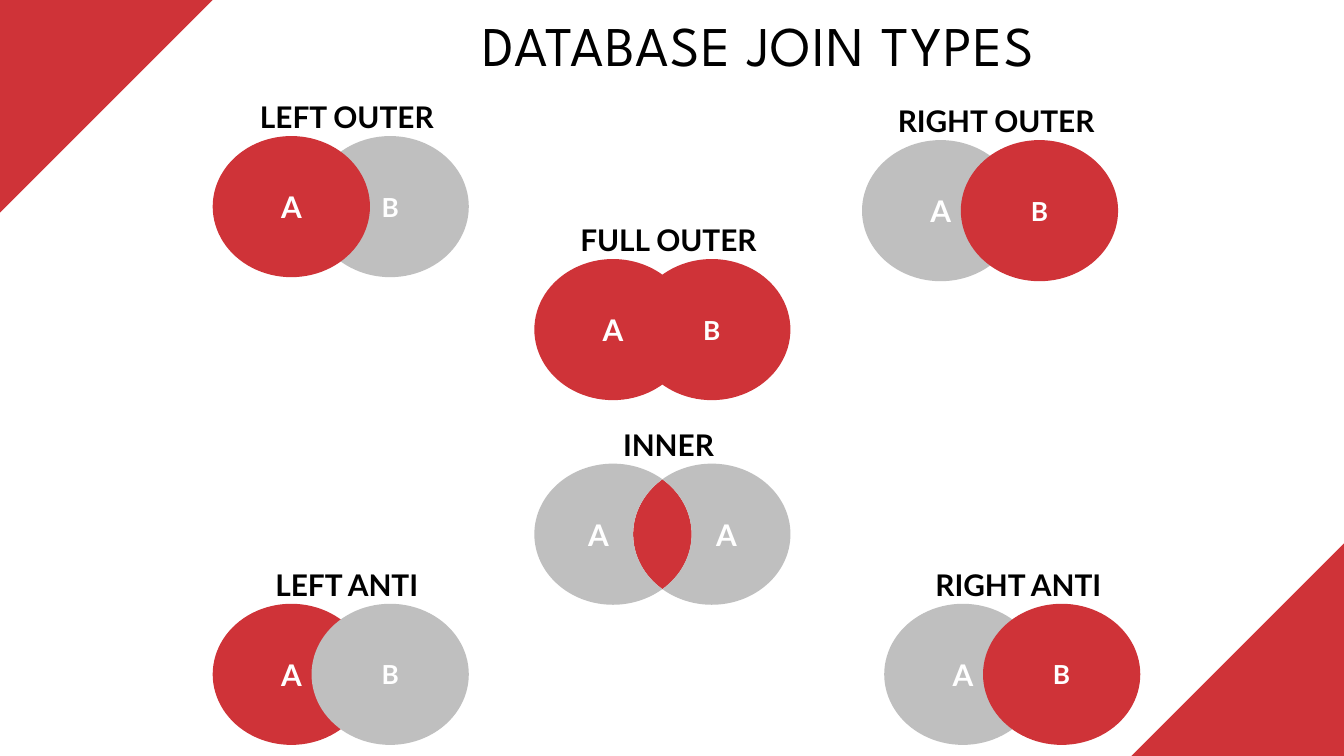
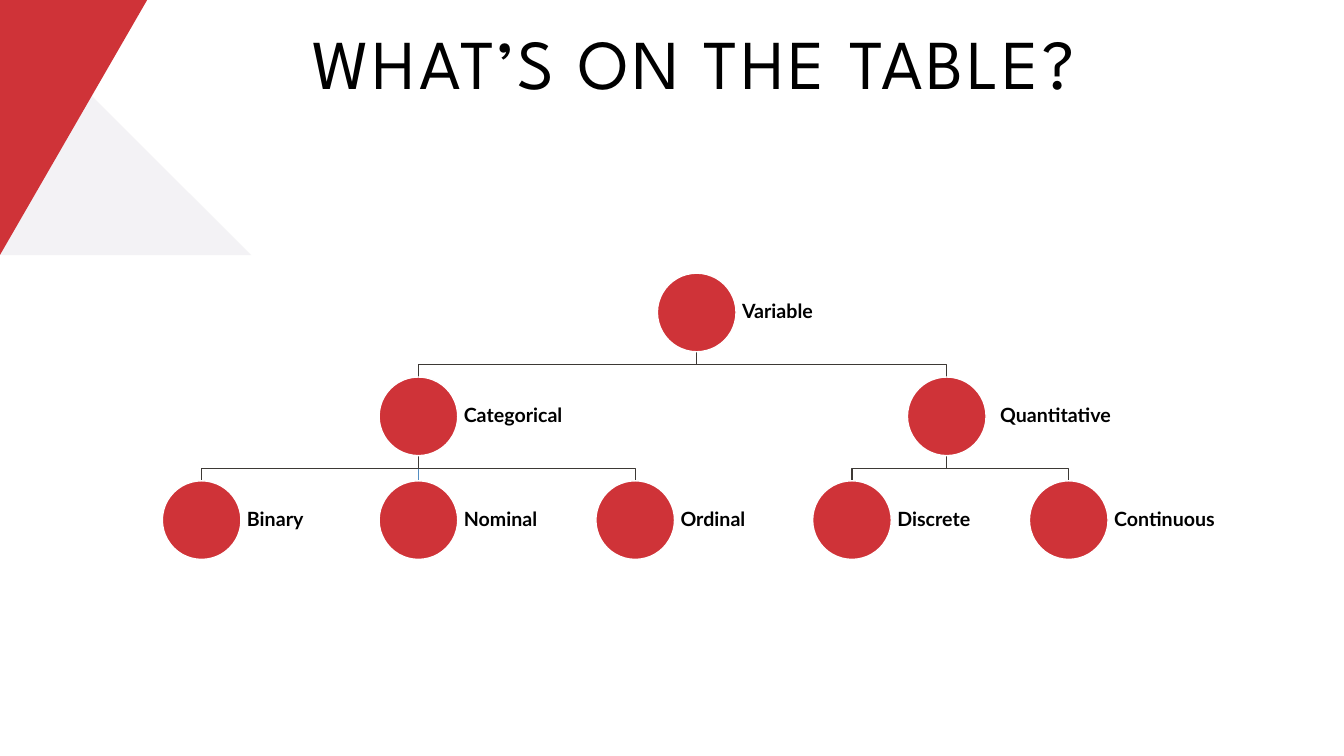
from dataclasses import dataclass
from math import acos, cos, pi, sin, tan
from typing import Optional

from lxml import etree
from pptx import Presentation
from pptx.dml.color import RGBColor
from pptx.enum.shapes import MSO_CONNECTOR, MSO_SHAPE
from pptx.enum.text import MSO_ANCHOR, PP_ALIGN
from pptx.oxml.ns import qn
from pptx.util import Inches, Pt

ELLIPSE = MSO_SHAPE.OVAL
STRAIGHT = MSO_CONNECTOR.STRAIGHT
LEFT, CENTER = PP_ALIGN.LEFT, PP_ALIGN.CENTER
TOP, MIDDLE = MSO_ANCHOR.TOP, MSO_ANCHOR.MIDDLE

RED, GREY, PALE = "CF3338", "BFBFBF", "F2F0F4"
BLACK, WHITE, LINK, LINK_BLUE = "000000", "FFFFFF", "3D3935", "538DC1"
BODY_FONT, TITLE_FONT = "Lato", "League Spartan"
SLIDE_W, SLIDE_H = 13.33, 7.5

# Venn geometry
SET_W, SET_H, SET_STEP = 1.56, 1.4, 0.98
LABEL_SIZE = {"A": 21.3, "B": 18.7}

# Tree geometry
NODE, LEVEL_TOP, LEVEL_STEP = 0.78, 2.71, 1.03
LEAF_X, LEAF_STEP = 2.0, 2.15

Point = tuple[float, float]


@dataclass
class Join:
    title: str
    x: float
    y: float
    fill_a: str
    fill_b: str
    front: str
    title_h: float = 0.46


@dataclass
class Node:
    name: str
    cx: float
    level: int
    parent: Optional[str] = None
    label_gap: float = 0
    label_w: float = 1.17

    @property
    def top(self) -> float:
        return LEVEL_TOP + self.level * LEVEL_STEP


JOINS = [
    Join("LEFT OUTER", 2.11, 1.35, RED, GREY, "A"),
    Join("FULL OUTER", 5.3, 2.57, RED, RED, "A"),
    Join("RIGHT OUTER", 8.55, 1.39, GREY, RED, "B", title_h=0.82),
    Join("LEFT ANTI", 2.11, 5.99, RED, GREY, "B"),
    Join("RIGHT ANTI", 8.77, 5.99, GREY, RED, "B"),
]

LEAVES = [("Binary", "Categorical"), ("Nominal", "Categorical"), ("Ordinal", "Categorical"),
          ("Discrete", "Quantitative"), ("Continuous", "Quantitative")]
NODES = [
    Node("Variable", 6.91, 0),
    Node("Categorical", LEAF_X + LEAF_STEP, 1, "Variable"),
    Node("Quantitative", 9.39, 1, "Variable", label_gap=0.08, label_w=1.72),
] + [Node(name, LEAF_X + i * LEAF_STEP, 2, parent) for i, (name, parent) in enumerate(LEAVES)]


def rgb(hex_colour: str) -> RGBColor:
    return RGBColor.from_string(hex_colour)


def paint(s, fill: Optional[str] = None, line: Optional[str] = None) -> None:
    s.shadow.inherit = False
    if fill:
        s.fill.solid()
        s.fill.fore_color.rgb = rgb(fill)
    else:
        s.fill.background()
    if line:
        s.line.color.rgb = rgb(line)
        s.line.width = Pt(1)
    else:
        s.line.fill.background()


def write(s, text: str, *, size: float, color: str = BLACK, font: str = BODY_FONT,
          bold: bool = True, align=CENTER, anchor=MIDDLE, inset: Optional[float] = None,
          line_spacing=None, tracking: float = 0, indent: float = 0) -> None:
    tf = s.text_frame
    tf.word_wrap = True
    tf.vertical_anchor = anchor
    if inset is not None:
        tf.margin_left = tf.margin_right = tf.margin_top = tf.margin_bottom = Inches(inset)
    p = tf.paragraphs[0]
    p.alignment = align
    if indent:
        p._p.get_or_add_pPr().set("marL", str(Inches(indent)))
    if line_spacing is not None:
        p.line_spacing = line_spacing
    r = p.add_run()
    r.text = text
    r.font.name, r.font.size, r.font.bold = font, Pt(size), bold
    r.font.color.rgb = rgb(color)
    if tracking:
        r.font._element.set("spc", str(round(tracking * 100)))


def add_text(slide, text: str, x: float, y: float, w: float, h: float, **fmt) -> None:
    write(slide.shapes.add_textbox(Inches(x), Inches(y), Inches(w), Inches(h)), text, **fmt)


def add_title(slide, text: str, x: float, y: float, w: float, h: float, *,
              leading: float, **fmt) -> None:
    add_text(slide, text, x, y, w, h, font=TITLE_FONT, bold=False, anchor=TOP,
             inset=0, line_spacing=Pt(leading), **fmt)


def add_ellipse(slide, x: float, y: float, w: float, h: float, fill: str,
                line: Optional[str] = None):
    s = slide.shapes.add_shape(ELLIPSE, Inches(x), Inches(y), Inches(w), Inches(h))
    paint(s, fill, line)
    return s


def add_outline(slide, points: list[Point], fill: Optional[str] = None,
                line: Optional[str] = None):
    """Draw a closed filled outline, or an open line when there is no fill."""
    start, *rest = [(Inches(x), Inches(y)) for x, y in points]
    builder = slide.shapes.build_freeform(*start, scale=1.0)
    builder.add_line_segments(rest, close=fill is not None)
    s = builder.convert_to_shape()
    paint(s, fill, line)
    return s


def add_curved_outline(slide, points: list[Point], fill: str):
    """Draw a closed outline whose points after the first are Bézier triples."""
    s = add_outline(slide, points, fill)
    segments = list(s._element.iter(qn("a:lnTo")))
    for i in range(0, len(segments), 3):
        curve = etree.Element(qn("a:cubicBezTo"))
        segments[i].addprevious(curve)
        for segment in segments[i:i + 3]:
            curve.append(segment[0])
            segment.getparent().remove(segment)
    return s


def set_alpha(s, percent: int) -> None:
    colour = s._element.spPr.find(qn("a:solidFill"))[0]
    etree.SubElement(colour, qn("a:alpha")).set("val", str(percent * 1000))


def arc(cx: float, cy: float, *angles: float) -> list[Point]:
    """Bézier points of a set's edge through the angles, without the first point."""
    points = []
    for t0, t1 in zip(angles, angles[1:]):
        k = 4 / 3 * tan((t1 - t0) / 4)
        for u, v in ((cos(t0) - k * sin(t0), sin(t0) + k * cos(t0)),
                     (cos(t1) + k * sin(t1), sin(t1) - k * cos(t1)),
                     (cos(t1), sin(t1))):
            points.append((cx + SET_W / 2 * u, cy + SET_H / 2 * v))
    return points


def add_join_title(slide, text: str, x: float, y: float, h: float = 0.46) -> None:
    add_text(slide, text, x + 0.22, y - 0.42, 2.22, h, size=21.3, anchor=TOP)


def add_join(slide, join: Join) -> None:
    sets = {"A": (join.x, join.fill_a), "B": (join.x + SET_STEP, join.fill_b)}
    for name in sorted(sets, key=lambda n: n == join.front):
        x, fill = sets[name]
        s = add_ellipse(slide, x, join.y, SET_W, SET_H, fill)
        write(s, name, size=LABEL_SIZE[name], color=WHITE)
    add_join_title(slide, join.title, join.x, join.y, join.title_h)


def add_inner_join(slide, x: float, y: float) -> None:
    left, right, cy = x + SET_W / 2, x + SET_W / 2 + SET_STEP, y + SET_H / 2
    a = acos(SET_STEP / SET_W)  # angle at which the two sets cross
    crossing = [((left + right) / 2, cy - SET_H / 2 * sin(a))]
    lens = arc(left, cy, -a, 0, a) + arc(right, cy, pi - a, pi, pi + a)
    right_part = (arc(right, cy, pi + a, 1.5 * pi, 2 * pi, 2.5 * pi, 3 * pi - a)
                  + arc(left, cy, a, 0, -a))
    left_part = (arc(left, cy, 2 * pi - a, 1.5 * pi, pi, 0.5 * pi, a)
                 + arc(right, cy, pi - a, pi, pi + a))
    add_curved_outline(slide, crossing + lens, RED)
    for part in (right_part, left_part):
        s = add_curved_outline(slide, crossing + part, GREY)
        write(s, "A", size=LABEL_SIZE["A"], color=WHITE)
    add_join_title(slide, "INNER", x, y)


def add_link(slide, parent: Node, child: Node) -> None:
    y1, y2 = parent.top + NODE, child.top
    if parent.cx == child.cx:
        c = slide.shapes.add_connector(STRAIGHT, Inches(parent.cx), Inches(y1),
                                       Inches(child.cx), Inches(y2))
        c.line.color.rgb = rgb(LINK_BLUE)
        c.line.width = Pt(1)
        etree.SubElement(c._element.spPr, qn("a:effectLst"))
        return
    mid = (y1 + y2) / 2
    add_outline(slide, [(parent.cx, y1), (parent.cx, mid), (child.cx, mid), (child.cx, y2)],
                line=LINK)


def add_node(slide, node: Node) -> None:
    x = node.cx - NODE / 2
    add_ellipse(slide, x, node.top, NODE, NODE, RED, WHITE)
    add_text(slide, node.name, x + NODE + node.label_gap, node.top, node.label_w, NODE,
             size=14, align=LEFT, inset=0.06, line_spacing=0.9)


def build_joins(slide) -> None:
    # Corner triangles and title
    corner = 2.11
    add_outline(slide, [(0, corner), (0, 0), (corner, 0)], RED)
    add_title(slide, "DATABASE JOIN TYPES", 2.78, 0.42, 9.3, 0.4,
              size=40, leading=25.6, tracking=1.1, indent=0.19)
    add_outline(slide, [(SLIDE_W, SLIDE_H - corner), (SLIDE_W, SLIDE_H),
                        (SLIDE_W - corner, SLIDE_H)], RED)
    # Venn diagrams
    for join in JOINS:
        add_join(slide, join)
    add_inner_join(slide, 5.3, 4.6)


def build_variables(slide) -> None:
    # Corner triangles and title
    base = 2.53
    set_alpha(add_outline(slide, [(2.49, base), (0, base), (0, 0.04)], PALE), 85)
    add_outline(slide, [(0, 0), (1.46, 0), (0, base)], RED)
    add_title(slide, "WHAT’S ON THE TABLE?", 1.19, 0.19, 11.39, 0.84,
              size=50, leading=60, tracking=2.5)
    # Tree: links behind, nodes in front
    by_name = {node.name: node for node in NODES}
    for node in reversed(NODES):
        if node.parent:
            add_link(slide, by_name[node.parent], node)
    for node in NODES:
        add_node(slide, node)


def main() -> None:
    prs = Presentation()
    prs.slide_width, prs.slide_height = Inches(SLIDE_W), Inches(SLIDE_H)
    for build in (build_joins, build_variables):
        build(prs.slides.add_slide(prs.slide_layouts[6]))
    prs.save("out.pptx")


if __name__ == "__main__":
    main()
